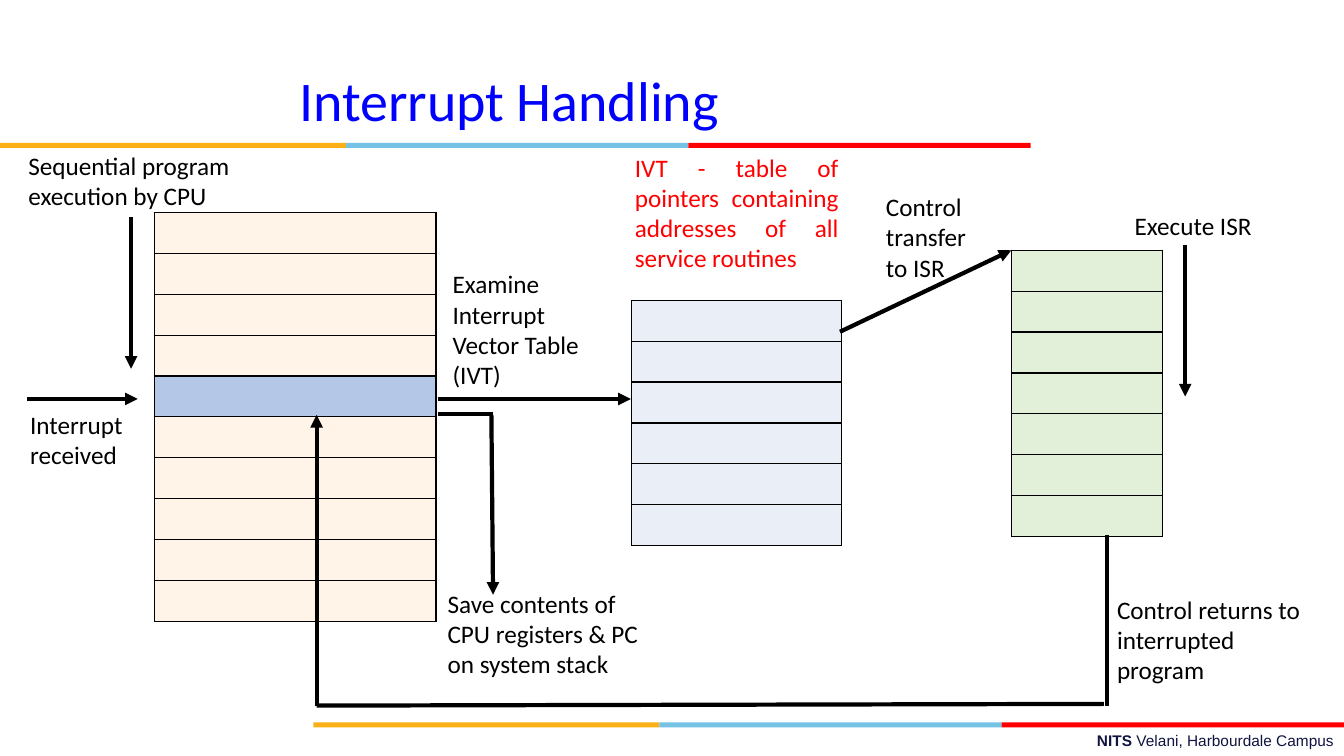
from lxml.etree import SubElement
from pptx import Presentation
from pptx.dml.color import RGBColor
from pptx.enum.shapes import MSO_CONNECTOR, MSO_SHAPE
from pptx.enum.text import MSO_ANCHOR, PP_ALIGN
from pptx.oxml.ns import qn
from pptx.util import Inches, Pt

BLACK = RGBColor(0x00, 0x00, 0x00)
BLUE = RGBColor(0x00, 0x00, 0xFF)
RED = RGBColor(0xFF, 0x00, 0x00)
GOLD = RGBColor(0xFC, 0xB0, 0x17)
SKY = RGBColor(0x76, 0xC2, 0xE5)
NAVY = RGBColor(0x10, 0x14, 0x41)
CREAM = RGBColor(0xFF, 0xF4, 0xE7)
PERIWINKLE = RGBColor(0xB4, 0xC7, 0xE7)
PALE_BLUE = RGBColor(0xEA, 0xEF, 0xF7)
PALE_GREEN = RGBColor(0xE2, 0xF0, 0xD9)

# The slide is a grid of 160 columns by 90 rows
WIDTH, HEIGHT = Inches(13.33), Inches(7.5)
COLS, ROWS = 160, 90
MEMORY_ROW = 4.87  # height of one memory cell, in grid rows
BAR_PARTS = ((41.2, GOLD), (40.75, SKY), (40.75, RED))
BAR_LENGTH = sum(part for part, _ in BAR_PARTS)


def gx(cols):
    return round(WIDTH * cols / COLS)


def gy(rows):
    return round(HEIGHT * rows / ROWS)


def box(x, y, w, h):
    return gx(x), gy(y), gx(w), gy(h)


def add_run(p, text, size, color, font="Calibri", bold=False):
    r = p.add_run()
    r.text = text
    r.font.name, r.font.size, r.font.bold = font, Pt(size), bold
    r.font.color.rgb = color


def add_bar(s, x, y):
    for w, color in BAR_PARTS:
        sp = s.shapes.add_shape(MSO_SHAPE.RECTANGLE, *box(x, y, w, 0.6))
        sp.shadow.inherit = False
        sp.fill.solid()
        sp.fill.fore_color.rgb = color
        sp.line.fill.background()
        x += w


def add_text(s, x, y, w, h, align=PP_ALIGN.LEFT):
    tf = s.shapes.add_textbox(*box(x, y, w, h)).text_frame
    tf.word_wrap = True
    p = tf.paragraphs[0]
    p.alignment = align
    return p


def add_label(s, text, x, y, w, h, color=BLACK, align=PP_ALIGN.LEFT):
    add_run(add_text(s, x, y, w, h, align), text, 18, color)


def add_borders(cell):
    tc_pr = cell._tc.get_or_add_tcPr()
    for side in ("a:lnL", "a:lnR", "a:lnT", "a:lnB"):
        ln = SubElement(tc_pr, qn(side), w=str(Pt(1)))
        fill = SubElement(ln, qn("a:solidFill"))
        SubElement(fill, qn("a:srgbClr"), val=str(BLACK))


def add_memory(s, x, y, w, colors):
    n = len(colors)
    frame = s.shapes.add_table(n, 1, *box(x, y, w, n * MEMORY_ROW))
    table = frame.table
    table.first_row = table.horz_banding = False
    for i, color in enumerate(colors):
        table.rows[i].height = gy(MEMORY_ROW)
        cell = table.cell(i, 0)
        add_borders(cell)
        cell.fill.solid()
        cell.fill.fore_color.rgb = color


def add_line(s, x1, y1, x2, y2, arrow=True):
    c = s.shapes.add_connector(MSO_CONNECTOR.STRAIGHT,
                               gx(x1), gy(y1), gx(x2), gy(y2))
    c.line.color.rgb = BLACK
    c.line.width = Pt(3)
    if arrow:
        SubElement(c.line._get_or_add_ln(), qn("a:tailEnd"), type="triangle")
    SubElement(c._element.spPr, qn("a:effectLst"))


def add_title(s, text):
    title = s.shapes.title
    title.left, title.top, title.width, title.height = box(5.3, 6.5, 110.6, 10.5)
    tf = title.text_frame
    tf.vertical_anchor = MSO_ANCHOR.MIDDLE
    p = tf.paragraphs[0]
    p.alignment = PP_ALIGN.CENTER
    add_run(p, text, 40, BLUE)


def main():
    prs = Presentation()
    prs.slide_width, prs.slide_height = WIDTH, HEIGHT
    s = prs.slides.add_slide(prs.slide_layouts[5])

    # Title, colour bars and footer
    add_bar(s, 0, 17)
    add_bar(s, COLS - BAR_LENGTH, 86)
    p = add_text(s, 57.3, 86.5, 102.7, 3.5, PP_ALIGN.RIGHT)
    add_run(p, "NITS ", 11, NAVY, "Arial", True)
    add_run(p, "Velani, Harbourdale Campus", 11, NAVY, "Arial")
    add_title(s, "Interrupt Handling")

    # Program, vector table and service routine
    add_memory(s, 18.4, 25.3, 33.5, [CREAM] * 4 + [PERIWINKLE] + [CREAM] * 5)
    add_memory(s, 75.2, 35.75, 25, [PALE_BLUE] * 6)
    add_memory(s, 120.4, 29.8, 18, [PALE_GREEN] * 7)

    # Program execution and interrupt
    add_line(s, 15.6, 25.8, 15.6, 43.9)
    add_label(s, "Sequential program execution by CPU", 2.2, 17.3, 30.7, 8.5)
    add_line(s, 3.2, 47.5, 16.4, 47.5)
    add_label(s, "Interrupt received", 2.4, 48.1, 17.5, 8.5)

    # Vector lookup
    add_line(s, 52.1, 47.5, 75.1, 47.5)
    add_label(s, "Examine Interrupt Vector Table (IVT)", 52.7, 31.4, 17.5, 15.7)
    add_label(s, "IVT - table of pointers containing addresses of all service routines",
              74.4, 17.5, 26.6, 15.7, RED, PP_ALIGN.JUSTIFY)

    # Service routine
    add_line(s, 100, 39.5, 120.4, 29.8)
    add_label(s, "Control transfer to ISR", 104.3, 22.2, 14.5, 12.1)
    add_line(s, 141.1, 29.2, 141.1, 47.2)
    add_label(s, "Execute ISR", 133.9, 24.4, 17.5, 4.8)

    # Saving the state
    add_line(s, 52.1, 49.3, 58.7, 49.3, arrow=False)
    add_line(s, 58.5, 49.4, 58.7, 70.8)
    add_label(s, "Save contents of CPU registers & PC on system stack",
              52.1, 69.4, 26.6, 12.1)

    # Return to the program
    add_line(s, 131.8, 63.7, 131.8, 84, arrow=False)
    add_line(s, 131.4, 83.8, 37.7, 84, arrow=False)
    add_line(s, 37.7, 84, 37.7, 49.4)
    add_label(s, "Control returns to interrupted program", 131.8, 70.1, 26.5, 12.1)

    prs.save("out.pptx")


if __name__ == "__main__":
    main()
